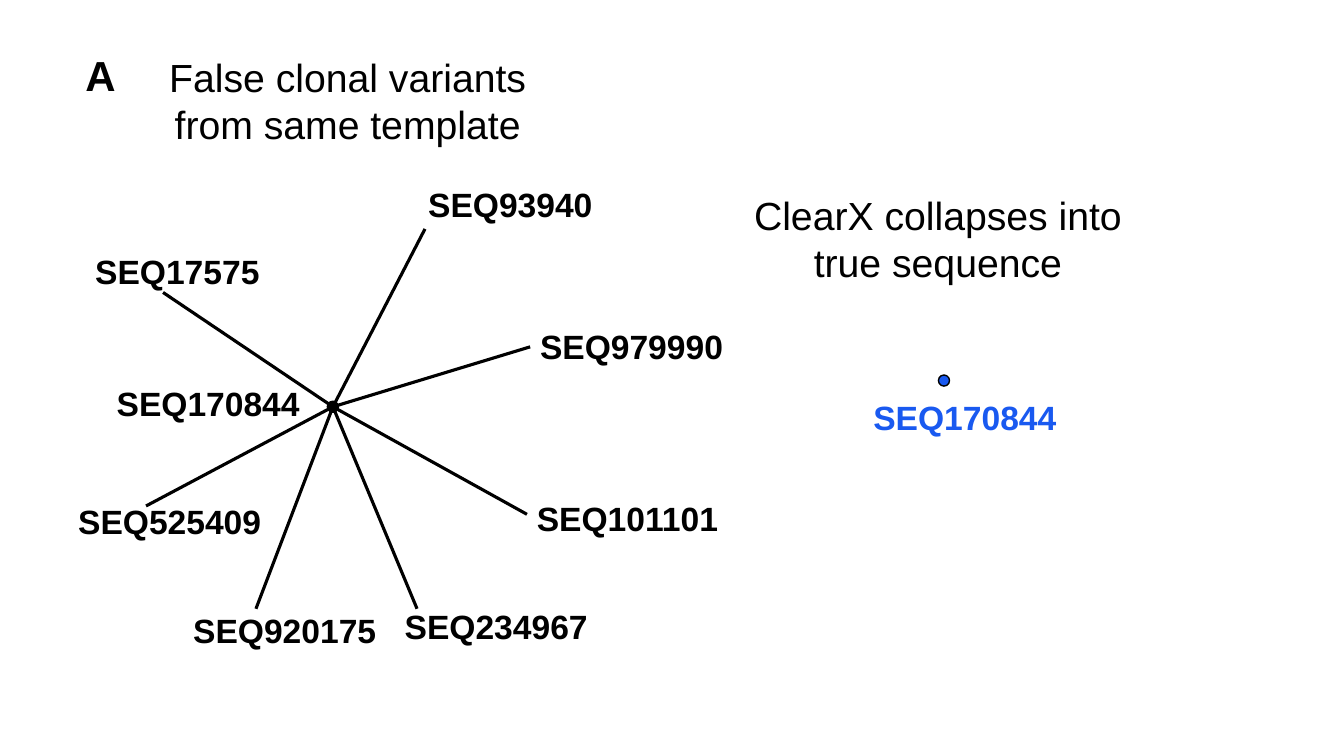
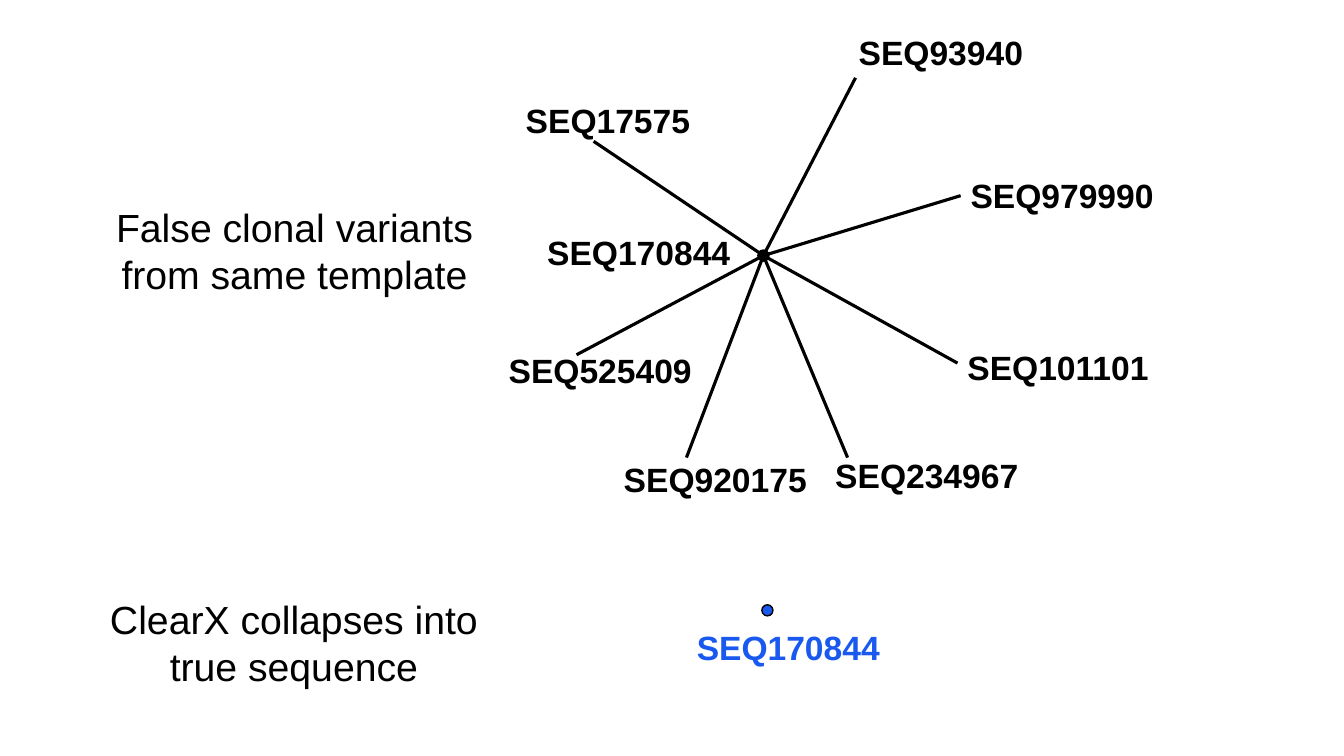
from lxml import etree
from pptx import Presentation
from pptx.dml.color import RGBColor
from pptx.enum.shapes import MSO_CONNECTOR, MSO_SHAPE
from pptx.enum.text import MSO_ANCHOR, MSO_AUTO_SIZE, PP_ALIGN
from pptx.oxml.ns import qn
from pptx.util import Cm, Pt

LEFT, CENTER = PP_ALIGN.LEFT, PP_ALIGN.CENTER
TOP, NO_FIT = MSO_ANCHOR.TOP, MSO_AUTO_SIZE.NONE
OVAL, STRAIGHT = MSO_SHAPE.OVAL, MSO_CONNECTOR.STRAIGHT
TITLE_ONLY = 5

# Content: lengths in cm, label and tip offsets measured from the hub
VARIANTS_TITLE = "False clonal variants from same template"
COLLAPSE_CAPTION = "ClearX collapses into true sequence"
TRUE_SEQUENCE = "SEQ170844"
HUB_LABEL_OFFSET = (-5.7, -0.72)
RESULT_LABEL_OFFSET = (-2.03, 0.29)
VARIANTS = [
    # name, label offset, tip offset
    ("SEQ17575", (-6.24, -4.05), (-4.28, -2.88)),
    ("SEQ93940", (2.15, -5.75), (2.32, -4.48)),
    ("SEQ979990", (4.97, -2.15), (4.97, -1.51)),
    ("SEQ101101", (4.89, 2.17), (4.89, 2.71)),
    ("SEQ234967", (1.56, 4.89), (2.12, 5.09)),
    ("SEQ920175", (-3.77, 4.99), (-1.94, 5.09)),
    ("SEQ525409", (-6.67, 2.25), (-4.71, 2.5)),
]
SLIDES = [
    {"title": (3.96, 1.22), "caption": (18.21, 4.7), "hub": (8.39, 10.25),
     "result": (23.79, 9.59), "panel": "A"},
    {"title": (2.62, 5.0), "caption": (1.98, 14.88), "hub": (19.24, 6.44),
     "result": (19.34, 15.38), "panel": None},
]

# Shared look
COLORS = {"black": "000000", "blue": "1959F0"}
TITLE_SIZE, CAPTION_SIZE = (9.6, 2.64), (10.85, 2.64)
LABEL_SIZE, PANEL_SIZE = (5.4, 1.28), (1.5, 1.54)
PANEL_AT = (1.9, 1.12)
DOT = 0.28
HEADING = {"size": Pt(28), "bold": False, "name": "Arial"}
LABEL = {"size": Pt(24), "bold": True, "name": "Arial"}
PANEL = {"size": Pt(30), "bold": True, "name": "Arial"}


def color(name):
    return RGBColor.from_string(COLORS[name])


def shift(point, offset):
    return point[0] + offset[0], point[1] + offset[1]


def write(shape, text, at, size, font, align=LEFT, ink="black"):
    """Place a text shape and format its single paragraph."""
    for name, value in zip(("left", "top", "width", "height"), at + size):
        setattr(shape, name, Cm(value))
    frame = shape.text_frame
    frame.text = text
    for name, value in {"word_wrap": True, "auto_size": NO_FIT,
                        "vertical_anchor": TOP}.items():
        setattr(frame, name, value)
    paragraph = frame.paragraphs[0]
    paragraph.alignment = align
    run_font = paragraph.runs[0].font
    for name, value in font.items():
        setattr(run_font, name, value)
    run_font.color.rgb = color(ink)


def add_text(shapes, text, at, size, font, **options):
    box = shapes.add_textbox(0, 0, 0, 0)
    write(box, text, at, size, font, **options)


def add_dot(shapes, center, fill):
    left, top = shift(center, (-DOT / 2, -DOT / 2))
    dot = shapes.add_shape(OVAL, Cm(left), Cm(top), Cm(DOT), Cm(DOT))
    dot.shadow.inherit = False
    dot.fill.solid()
    dot.fill.fore_color.rgb = color(fill)
    dot.line.color.rgb = color("black")
    dot.line.width = Pt(1)


def add_branch(shapes, start, end):
    branch = shapes.add_connector(STRAIGHT, *(Cm(value) for value in start + end))
    branch.line.color.rgb = color("black")
    branch.line.width = Pt(2.25)
    etree.SubElement(branch._element.spPr, qn("a:effectLst"))


def add_sequence(shapes, center, label_offset, ink):
    """A dot with its sequence name."""
    add_dot(shapes, center, ink)
    add_text(shapes, TRUE_SEQUENCE, shift(center, label_offset), LABEL_SIZE,
             LABEL, ink=ink)


def add_variant_tree(shapes, hub):
    for name, label_offset, tip_offset in VARIANTS:
        add_branch(shapes, hub, shift(hub, tip_offset))
        add_text(shapes, name, shift(hub, label_offset), LABEL_SIZE, LABEL)
    add_sequence(shapes, hub, HUB_LABEL_OFFSET, "black")


def build_slide(presentation, layout):
    slide = presentation.slides.add_slide(presentation.slide_layouts[TITLE_ONLY])
    shapes = slide.shapes
    # Headings
    write(shapes.title, VARIANTS_TITLE, layout["title"], TITLE_SIZE, HEADING,
          align=CENTER)
    add_text(shapes, COLLAPSE_CAPTION, layout["caption"], CAPTION_SIZE, HEADING,
             align=CENTER)
    # Variants and the sequence they collapse into
    add_variant_tree(shapes.add_group_shape().shapes, layout["hub"])
    add_sequence(shapes.add_group_shape().shapes, layout["result"],
                 RESULT_LABEL_OFFSET, "blue")
    # Panel letter
    if layout["panel"]:
        add_text(shapes, layout["panel"], PANEL_AT, PANEL_SIZE, PANEL)


def main():
    presentation = Presentation()
    presentation.slide_width = Cm(33.87)
    presentation.slide_height = Cm(19.05)
    for layout in SLIDES:
        build_slide(presentation, layout)
    presentation.save("out.pptx")


if __name__ == "__main__":
    main()
